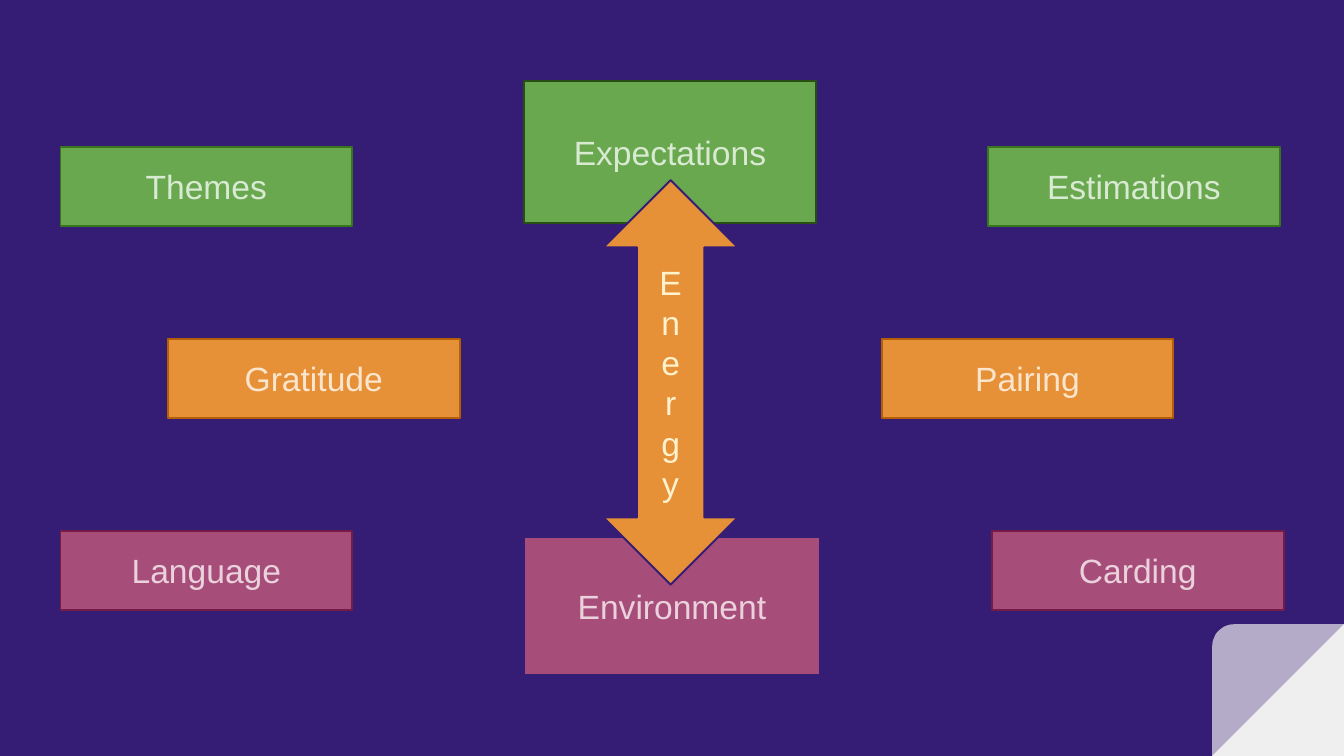
from dataclasses import dataclass

from lxml import etree
from pptx import Presentation
from pptx.dml.color import RGBColor
from pptx.enum.shapes import MSO_SHAPE
from pptx.enum.text import MSO_ANCHOR, PP_ALIGN
from pptx.oxml.ns import qn
from pptx.util import Pt

RECT = MSO_SHAPE.RECTANGLE
ARROW = MSO_SHAPE.UP_DOWN_ARROW
TRIANGLE = MSO_SHAPE.RIGHT_TRIANGLE
ROUND_CORNER = MSO_SHAPE.ROUND_1_RECTANGLE
MIDDLE = MSO_ANCHOR.MIDDLE
CENTER = PP_ALIGN.CENTER


@dataclass(frozen=True)
class Theme:
    font: str = "Arial"
    size: float = 18
    line_width: float = 1
    background: str = "351C75"
    fold: str = "EFEFEF"
    green: tuple = ("6AA84F", "38761D", "D9EAD3")
    orange: tuple = ("E69138", "B45F06", "FCE5CD")
    plum: tuple = ("A64D79", "741B47", "EAD1DC")
    dark_green: str = "274E13"
    cream: str = "FFF2CC"


theme = Theme()


def add_block(text, *, at, fill, line=None, color=None, kind=RECT):
    sp = slide.shapes.add_shape(kind, *[Pt(v) for v in at])
    sp.shadow.inherit = False
    sp.fill.solid()
    sp.fill.fore_color.rgb = RGBColor.from_string(fill)
    if line:
        sp.line.color.rgb = RGBColor.from_string(line)
        sp.line.width = Pt(theme.line_width)
    else:
        sp.line.fill.background()
    if text:
        tf = sp.text_frame
        tf.word_wrap = True
        tf.vertical_anchor = MIDDLE
        tf.text = text
        for p in tf.paragraphs:
            p.alignment = CENTER
            for r in p.runs:
                r.font.name = theme.font
                r.font.size = Pt(theme.size)
                r.font.color.rgb = RGBColor.from_string(color)
    return sp


prs = Presentation()
prs.slide_width, prs.slide_height = Pt(720), Pt(405)
slide = prs.slides.add_slide(prs.slide_layouts[6])
slide.background.fill.solid()
slide.background.fill.fore_color.rgb = RGBColor.from_string(theme.background)

fold_size = 70.6
fold_at = (720 - fold_size, 405 - fold_size, fold_size, fold_size)
for kind in (TRIANGLE, ROUND_CORNER):
    sp = add_block("", at=fold_at, fill=theme.fold, kind=kind)
    sp._element.spPr.find(qn("a:xfrm")).set("flipH", "1")
color = sp._element.spPr.find(qn("a:solidFill"))[0]
etree.SubElement(color, qn("a:alpha")).set("val", "68000")

add_block("Expectations", at=(280.8, 43.2, 156.3, 76.2), fill=theme.green[0],
          line=theme.dark_green, color=theme.green[2])
add_block("Environment", at=(280.8, 287.5, 158.4, 74), fill=theme.plum[0],
          line=theme.background, color=theme.plum[2])
add_block("\n".join("Energy"), at=(323.3, 96.5, 72, 216.7), fill=theme.orange[0],
          line=theme.background, color=theme.cream, kind=ARROW)

box_width, box_height = 156.3, 42.4
first_top, row_step = 78.6, 102.9
rows = [
    (theme.green, ("Themes", 32.4), ("Estimations", 529.3)),
    (theme.orange, ("Gratitude", 90), ("Pairing", 472.3)),
    (theme.plum, ("Language", 32.4), ("Carding", 531.4)),
]
for i, ((fill, line, color), *boxes) in enumerate(rows):
    for text, left in boxes:
        add_block(text, at=(left, first_top + i * row_step, box_width, box_height),
                  fill=fill, line=line, color=color)

prs.save("out.pptx")
